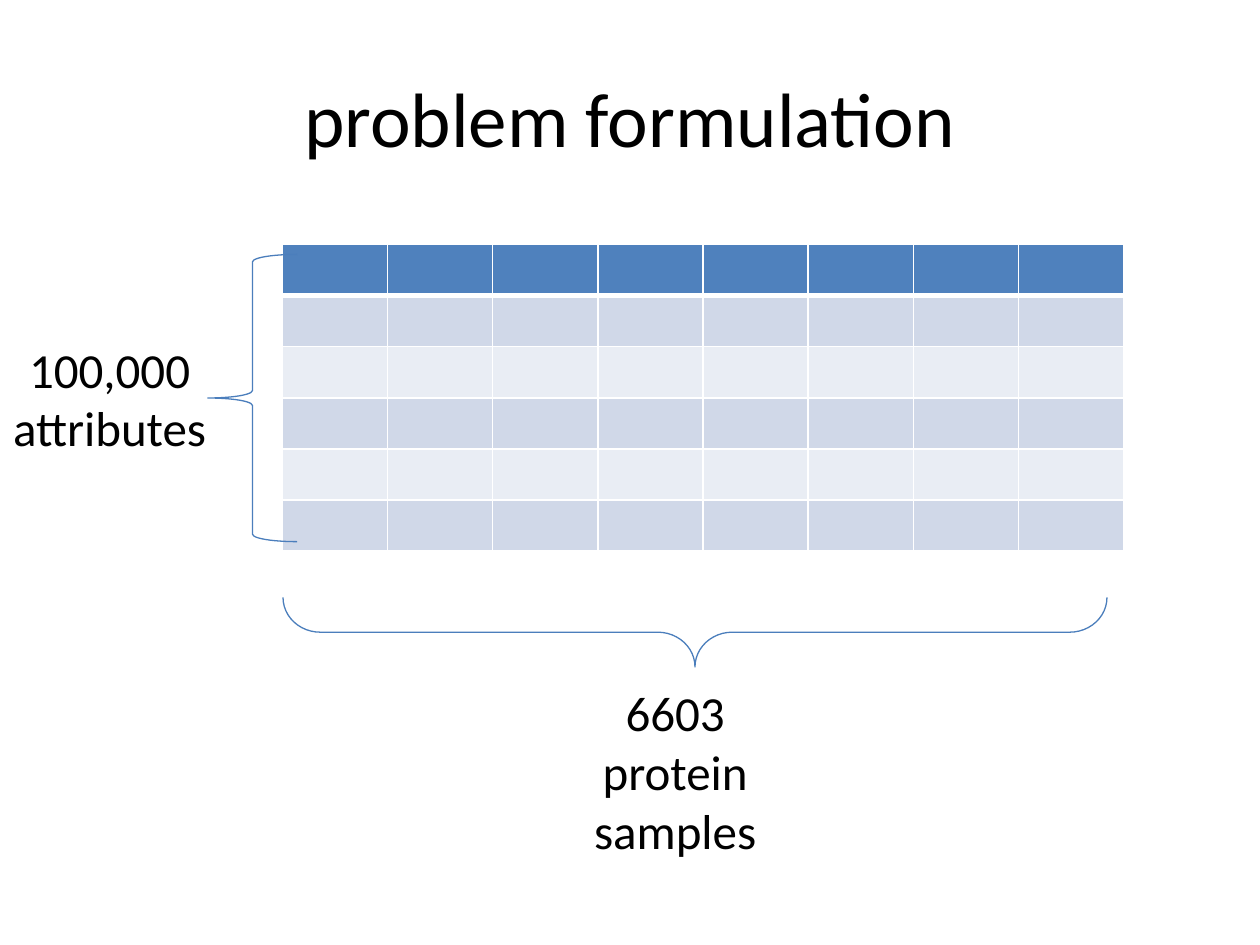
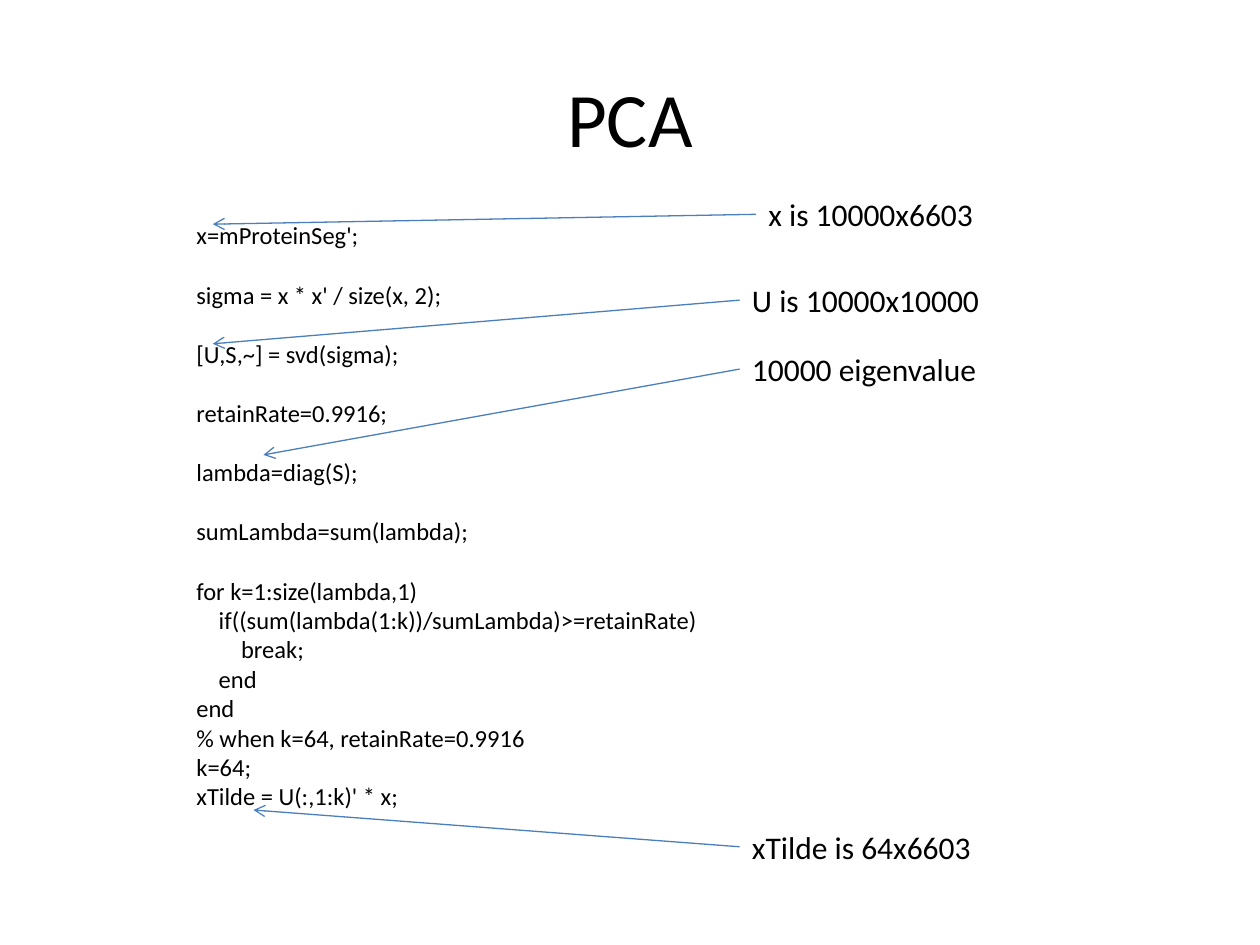
from dataclasses import dataclass
from lxml.etree import SubElement as Sub
from pptx import Presentation
from pptx.dml.color import RGBColor as RGB
from pptx.enum.shapes import MSO_CONNECTOR as Conn, MSO_SHAPE as Form
from pptx.enum.text import MSO_ANCHOR as Anchor, PP_ALIGN as Align
from pptx.oxml.ns import qn
from pptx.util import Cm, Pt


@dataclass(frozen=True)
class Theme:
    font: str = "Calibri"
    ink: str = "000000"
    line: str = "4B7EBC"
    head: str = "4F81BD"
    bands: tuple = ("D0D8E8", "E9EDF4")
    grid: str = "FFFFFF"
    title: int = 44
    label: int = 28
    note: int = 18
    code: int = 14
    thin: float = 0.75
    gap: float = 17
    indent: float = 0.45


T = Theme()

ROWS, COLS = 6, 8
GRID = (5.69, 4.93)
CELL = (2.12, 1.03)
BRACES = [
    (Form.RIGHT_BRACE, (13.31, 4.44, 1.4, 16.61), 90, 0.537),
    (Form.LEFT_BRACE, (4.19, 5.13, 1.8, 5.79), 0, None),
]
LABELS = [
    ("100,000 attributes", (-0.38, 6.71, 5.18, 2.64)),
    ("6603 protein samples", (11.02, 13.64, 5.18, 3.84)),
]

CODE_BOX = (3.71, 4.32, 11.2, 12.22)
CODE = [
    (0, False, "x=mProteinSeg';"),
    (0, True, "sigma = x * x' / size(x, 2);"),
    (0, True, "[U,S,~] = svd(sigma);"),
    (0, True, "retainRate=0.9916;"),
    (0, True, "lambda=diag(S);"),
    (0, True, "sumLambda=sum(lambda);"),
    (0, True, "for k=1:size(lambda,1)"),
    (1, False, "if((sum(lambda(1:k))/sumLambda)>=retainRate)"),
    (2, False, "break;"),
    (1, False, "end"),
    (0, False, "end"),
    (0, False, "% when k=64, retainRate=0.9916"),
    (0, False, "k=64;"),
    (0, False, "xTilde = U(:,1:k)' * x;"),
]
NOTE_SIZE = (6.2, 1.02)
NOTES = [
    ("x is 10000x6603", (15.24, 3.81), (4.29, 4.52)),
    ("U is 10000x10000", (14.91, 5.54), (4.29, 6.93)),
    ("10000 eigenvalue", (14.91, 6.93), (5.31, 9.17)),
    ("xTilde is 64x6603", (14.91, 16.56), (5.11, 16.33)),
]


def cms(vals):
    return [Cm(v) for v in vals]


def write(para, text, size, align=Align.LEFT):
    para.alignment = align
    run = para.add_run()
    run.text = text
    run.font.name = T.font
    run.font.size = Pt(size)
    run.font.color.rgb = RGB.from_string(T.ink)


def page(deck, text):
    slide = deck.slides.add_slide(deck.slide_layouts[5])
    title = slide.shapes.title
    title.left, title.top, title.width, title.height = cms((1.27, 0.76, 22.86, 3.18))
    title.text_frame.vertical_anchor = Anchor.MIDDLE
    write(title.text_frame.paragraphs[0], text, T.title, Align.CENTER)
    return slide


def frame(slide, box):
    text = slide.shapes.add_textbox(*cms(box)).text_frame
    text.word_wrap = True
    return text


def stroke(shape):
    shape.line.color.rgb = RGB.from_string(T.line)
    shape.line.width = Pt(T.thin)


def border(cell, side, width):
    edge = Sub(cell._tc.get_or_add_tcPr(), qn("a:ln" + side), w=str(Pt(width)))
    Sub(Sub(edge, qn("a:solidFill")), qn("a:srgbClr"), val=T.grid)


def table(slide):
    size = (COLS * CELL[0], ROWS * CELL[1])
    grid = slide.shapes.add_table(ROWS, COLS, *cms(GRID + size)).table
    for col in grid.columns:
        col.width = Cm(CELL[0])
    for r, row in enumerate(grid.rows):
        row.height = Cm(CELL[1])
        color = T.bands[(r - 1) % 2] if r else T.head
        for cell in row.cells:
            for side in "LRTB":
                border(cell, side, 3 if r == 0 and side == "B" else 1)
            cell.fill.solid()
            cell.fill.fore_color.rgb = RGB.from_string(color)


def brace(slide, form, box, turn, curve):
    shape = slide.shapes.add_shape(form, *cms(box))
    shape.shadow.inherit = False
    shape.fill.background()
    shape.rotation = turn
    if curve:
        shape.adjustments[0] = curve
    stroke(shape)


def arrow(slide, start, end):
    line = slide.shapes.add_connector(Conn.STRAIGHT, *cms(start + end))
    stroke(line)
    Sub(line.line._get_or_add_ln(), qn("a:tailEnd"), type="arrow")
    Sub(line._element.spPr, qn("a:effectLst"))


def listing(slide):
    text = frame(slide, CODE_BOX)
    for i, (depth, gap, words) in enumerate(CODE):
        para = text.add_paragraph() if i else text.paragraphs[0]
        write(para, words, T.code)
        para.space_before = Pt(T.gap if gap else 0)
        para._p.get_or_add_pPr().set("marL", str(Cm(depth * T.indent)))


deck = Presentation()
deck.slide_width, deck.slide_height = cms((25.4, 19.05))

slide = page(deck, "problem formulation")
table(slide)
for item in BRACES:
    brace(slide, *item)
for words, box in LABELS:
    write(frame(slide, box).paragraphs[0], words, T.label, Align.CENTER)

slide = page(deck, "PCA")
listing(slide)
for words, spot, tip in NOTES:
    write(frame(slide, spot + NOTE_SIZE).paragraphs[0], words, T.note)
    arrow(slide, (spot[0], spot[1] + NOTE_SIZE[1] / 2), tip)

deck.save("out.pptx")
